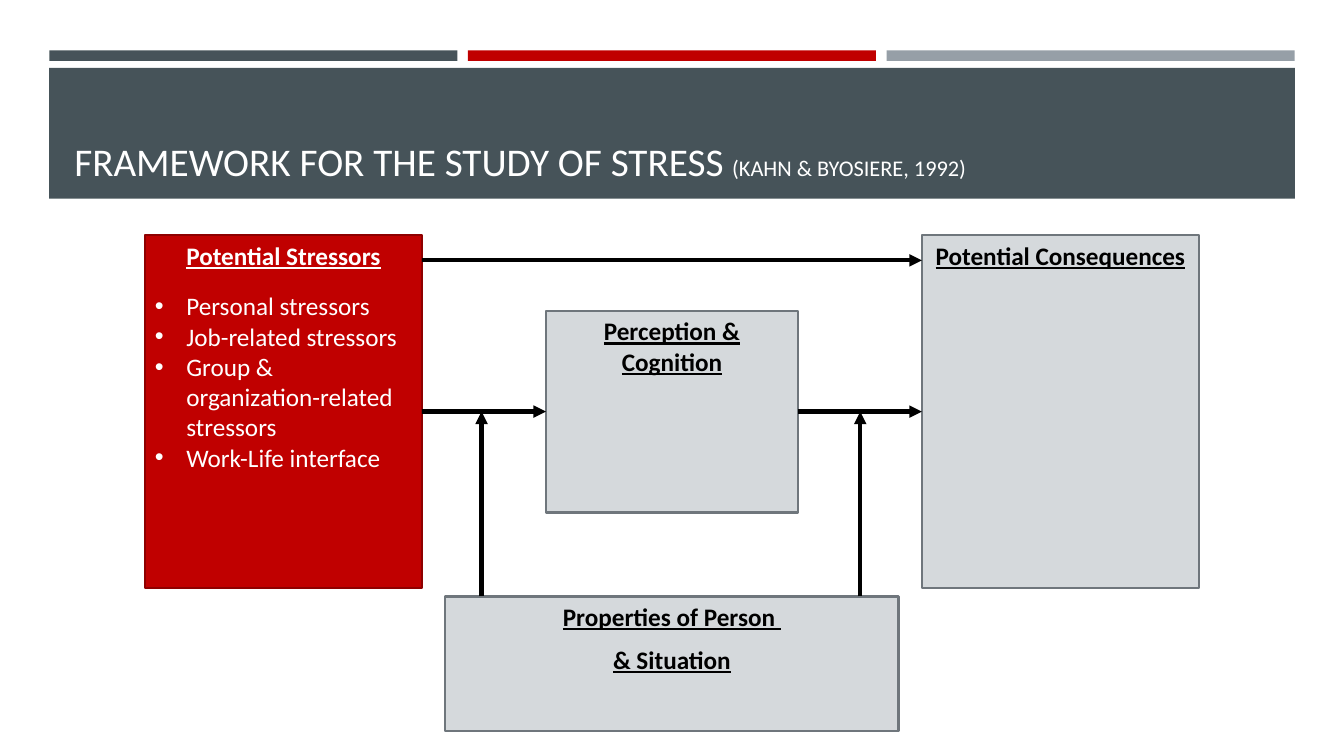
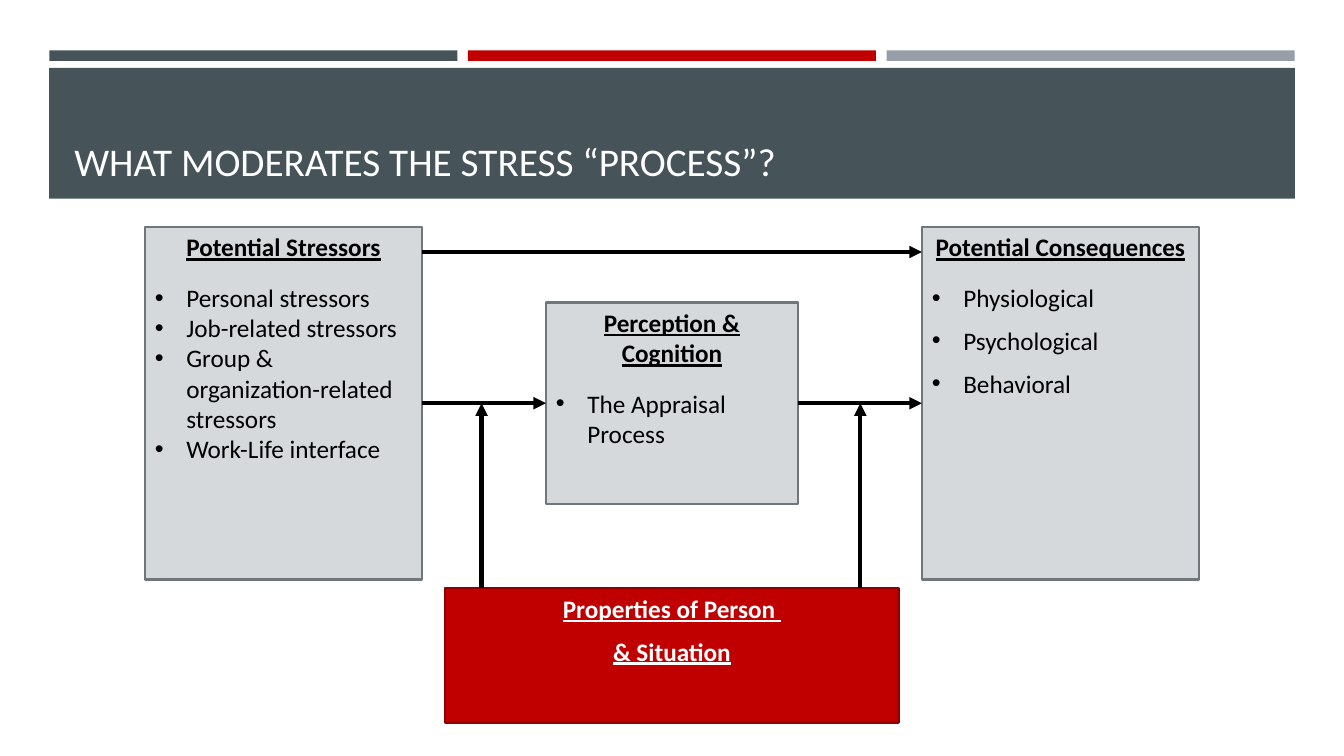
from lxml import etree
from pptx import Presentation
from pptx.dml.color import RGBColor
from pptx.enum import shapes, text
from pptx.oxml import ns
from pptx.util import Pt

COLORS = {
    "slate": "465359", "red": "C00000", "dark_red": "8E0000", "gray": "969FA7",
    "light_gray": "D5D9DC", "dark_gray": "6F767C", "white": "FFFFFF", "black": "000000",
}
# fill, outline, text
PLAIN = ("light_gray", "dark_gray", "black")
HIGHLIGHT = ("red", "dark_red", "white")
FONT = "Calibri"
CENTER = 480
SIDE_LEFT, SIDE_WIDTH = 103.5, 198
SIDE_RIGHT = SIDE_LEFT + SIDE_WIDTH
CONSEQUENCES_LEFT = 2 * CENTER - SIDE_RIGHT
BULLET_INDENT = 22.5
FIRST_BULLET_GAP = 14.5

STRESSORS = ["Personal stressors", "Job-related stressors",
             "Group & organization-related stressors", "Work-Life interface"]


def color(name):
    return RGBColor.from_string(COLORS[name])


def add_xml(parent, tag, **attributes):
    return etree.SubElement(parent, ns.qn(tag), attributes)


def format_run(run, size, color_name, heading=False):
    run.font.name = FONT
    run.font.size = Pt(size)
    run.font.color.rgb = color(color_name)
    run.font.bold = run.font.underline = heading


def add_rectangle(slide, left, top, width, height, fill, outline=None):
    shape = slide.shapes.add_shape(shapes.MSO_SHAPE.RECTANGLE,
                                   Pt(left), Pt(top), Pt(width), Pt(height))
    shape.shadow.inherit = False
    shape.fill.solid()
    shape.fill.fore_color.rgb = color(fill)
    if outline:
        shape.line.color.rgb = color(outline)
        shape.line.width = Pt(1.75)
    else:
        shape.line.fill.background()
    return shape


def add_header(slide, title, citation=""):
    for index, fill in enumerate(("slate", "red", "gray")):
        add_rectangle(slide, 35.25 + 299 * index, 36, 291.5, 7.5, fill)
    add_rectangle(slide, 35, 48.5, 890, 93.5, "slate")
    box = slide.shapes.add_textbox(Pt(46), Pt(55.5), Pt(868), Pt(80))
    frame = box.text_frame
    frame.word_wrap = True
    frame.vertical_anchor = text.MSO_ANCHOR.BOTTOM
    paragraph = frame.paragraphs[0]
    for content, size in ((title, 28), (citation, 16)):
        if content:
            run = paragraph.add_run()
            run.text = content
            format_run(run, size, "white")


def make_bullet(paragraph):
    properties = paragraph._p.get_or_add_pPr()
    properties.set("marL", str(Pt(BULLET_INDENT)))
    properties.set("indent", str(-Pt(BULLET_INDENT)))
    add_xml(properties, "a:buFont", typeface="Arial")
    add_xml(properties, "a:buChar", char="•")


def add_concept(slide, place, style, headings, bullets=(), gap=0):
    """Box with underlined headings above bullets; gap separates like paragraphs."""
    fill, outline, text_color = style
    shape = add_rectangle(slide, *place, fill, outline)
    frame = shape.text_frame
    frame.word_wrap = True
    frame.vertical_anchor = text.MSO_ANCHOR.TOP
    frame.text = "\n".join([*headings, *bullets])
    for index, paragraph in enumerate(frame.paragraphs):
        heading = index < len(headings)
        first_bullet = index == len(headings)
        if index:
            paragraph.space_before = Pt(FIRST_BULLET_GAP if first_bullet else gap)
        paragraph.alignment = text.PP_ALIGN.CENTER if heading else text.PP_ALIGN.LEFT
        if not heading:
            make_bullet(paragraph)
        format_run(paragraph.runs[0], 18, text_color, heading)
    return shape


def add_arrow(slide, start, end):
    connector = slide.shapes.add_connector(shapes.MSO_CONNECTOR.STRAIGHT,
                                           *(Pt(value) for value in (*start, *end)))
    connector.line.color.rgb = color("black")
    connector.line.width = Pt(3)
    add_xml(connector.line._get_or_add_ln(), "a:tailEnd", type="triangle")
    add_xml(connector._element.spPr, "a:effectLst")
    return connector


def join_sides(slide, source, target):
    """Arrow from the right side of source to the left side of target."""
    arrow = add_arrow(slide, (0, 0), (0, 0))
    arrow.begin_connect(source, 3)
    arrow.end_connect(target, 1)


def add_framework(slide, top, highlighted, consequences=(), appraisal=()):
    def style(name):
        return HIGHLIGHT if name == highlighted else PLAIN

    stressors_box = add_concept(
        slide, (SIDE_LEFT, top, SIDE_WIDTH, 252), style("stressors"),
        ["Potential Stressors"], STRESSORS)
    consequences_box = add_concept(
        slide, (CONSEQUENCES_LEFT, top, SIDE_WIDTH, 252), style("consequences"),
        ["Potential Consequences"], consequences, gap=9)
    perception_box = add_concept(
        slide, (CENTER - 90, top + 54, 180, 144), style("perception"),
        ["Perception & Cognition"], appraisal)
    add_concept(
        slide, (CENTER - 162, top + 258, 324, 96), style("properties"),
        ["Properties of Person ", "& Situation"], gap=9)

    join_sides(slide, stressors_box, perception_box)
    add_arrow(slide, (SIDE_RIGHT, top + 18), (CONSEQUENCES_LEFT, top + 18))
    join_sides(slide, perception_box, consequences_box)
    for x in (CENTER - 136, CENTER + 134.5):
        add_arrow(slide, (x, top + 258), (x, top + 126))


def main():
    presentation = Presentation()
    presentation.slide_width = Pt(960)
    presentation.slide_height = Pt(540)
    blank = presentation.slide_layouts[6]

    slide = presentation.slides.add_slide(blank)
    add_header(slide, "FRAMEWORK FOR THE STUDY OF STRESS ", "(KAHN & BYOSIERE, 1992)")
    add_framework(slide, 168, "stressors")

    slide = presentation.slides.add_slide(blank)
    add_header(slide, "WHAT MODERATES THE STRESS “PROCESS”?")
    add_framework(slide, 162, "properties",
                  consequences=["Physiological", "Psychological", "Behavioral"],
                  appraisal=["The Appraisal Process"])

    presentation.save("out.pptx")


if __name__ == "__main__":
    main()
